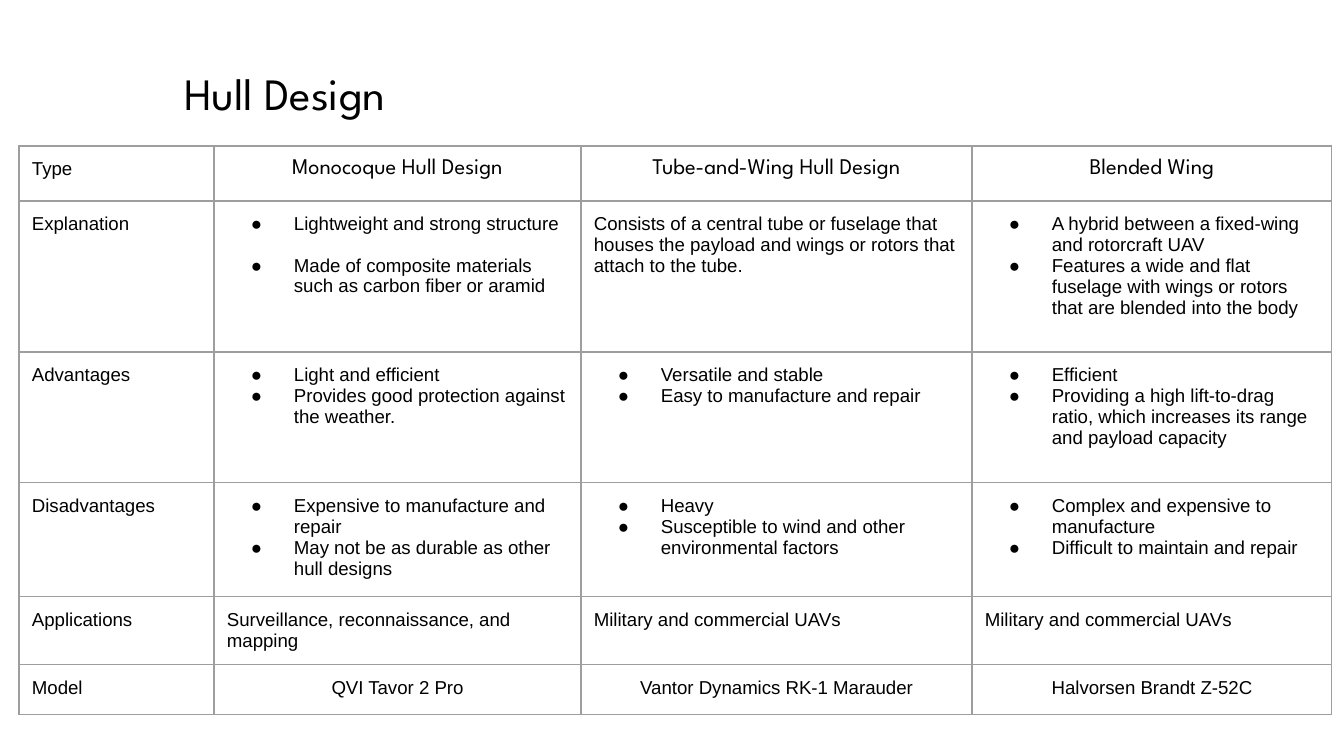
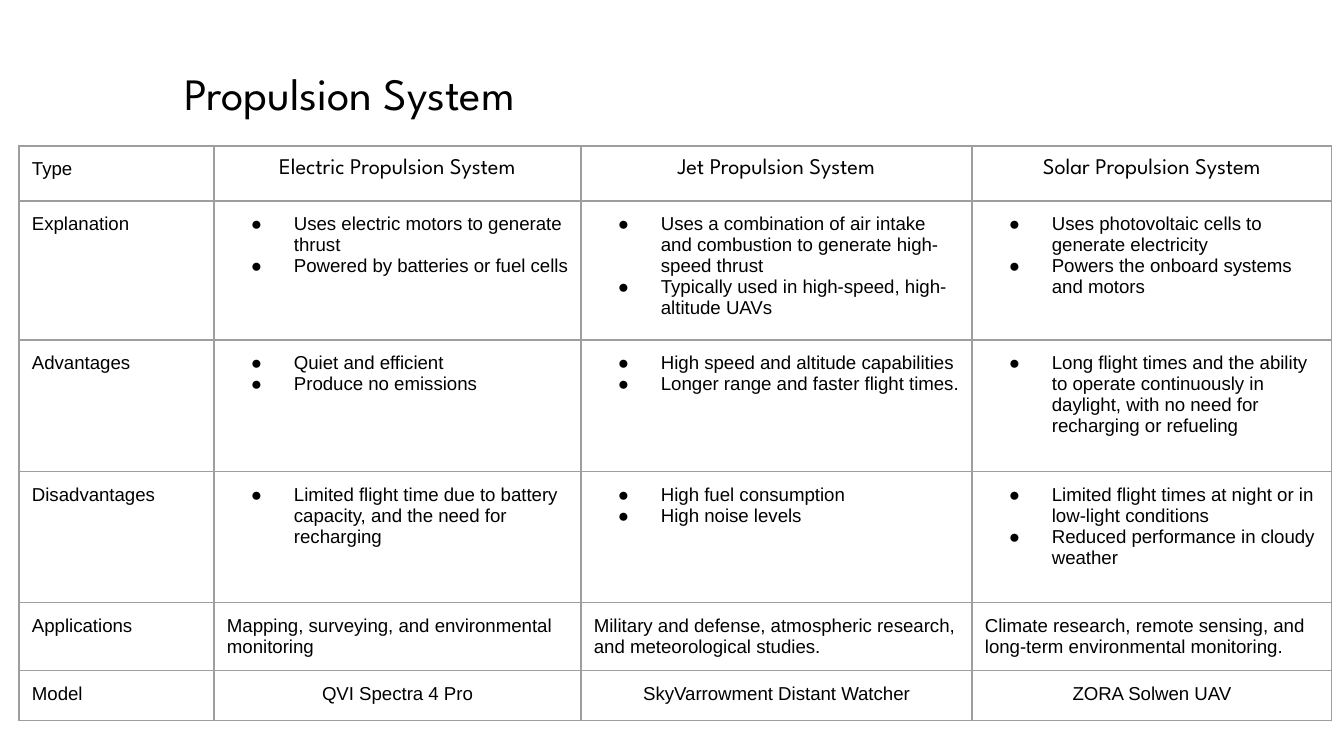
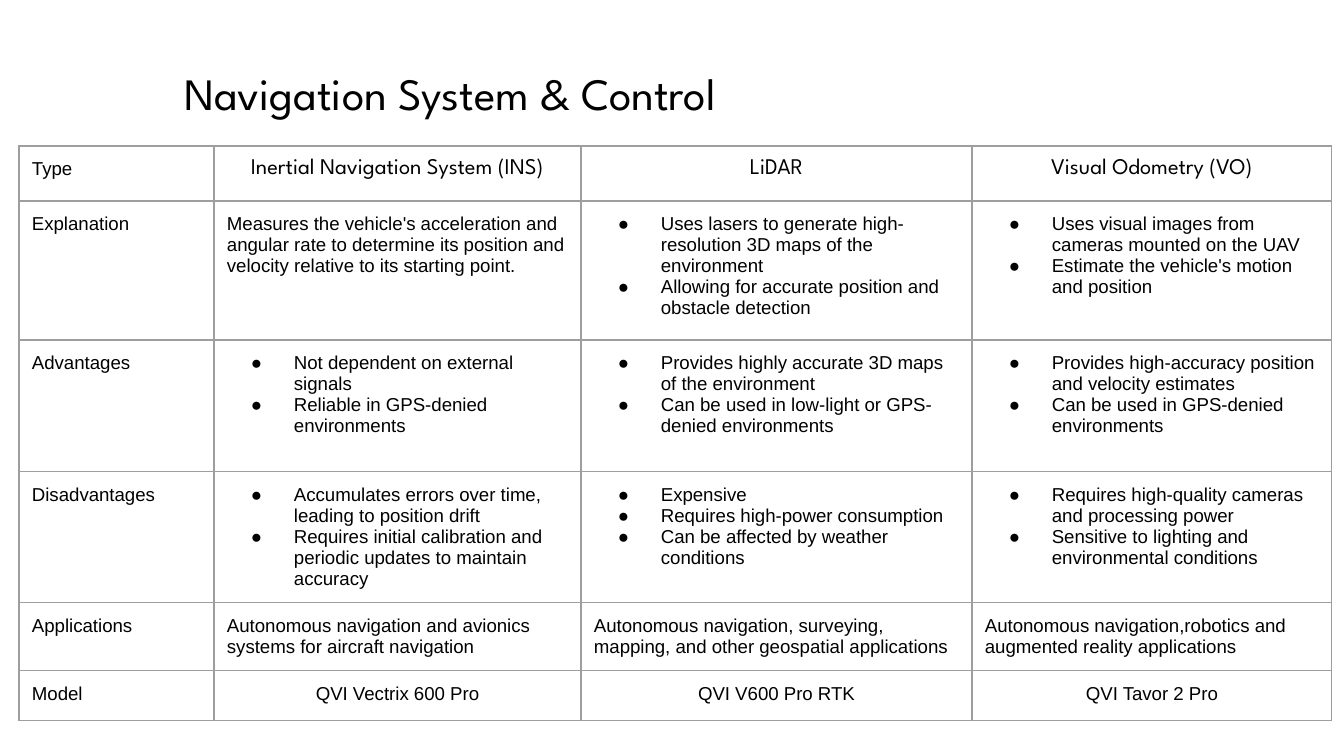
from pptx import Presentation
from pptx import util as u
from pptx.dml import color
from pptx.enum import text
from pptx.oxml import parse_xml
from pptx.oxml import ns

SCALE = 914400 / 134.4
COLORS = {"ink": "000000", "rule": "9E9E9E", "page": "FFFFFF"}
HEAD, BODY = "League Spartan", "Arial"
TITLE = (171, 40, 742, 106)
GRID = (19, 146)
COLS = (195, 367, 391, 360)
INSET, INDENT, HANG = 13, 67, 43
LABELS = ("Type", "Explanation", "Advantages", "Disadvantages", "Applications", "Model")
LATER = (55, 139, 132, 131, 68, 50)

DECK = [
    ("Hull Design", (55, 151, 131, 114, 68, 50), [
        ("Monocoque Hull Design", "Tube-and-Wing Hull Design", "Blended Wing"),
        (["Lightweight and strong structure",
          "Made of composite materials such as carbon fiber or aramid"],
         "Consists of a central tube or fuselage that houses the payload and wings "
         "or rotors that attach to the tube.",
         ["A hybrid between a fixed-wing and rotorcraft UAV",
          "Features a wide and flat fuselage with wings or rotors that are blended into the body"]),
        (["Light and efficient", "Provides good protection against the weather."],
         ["Versatile and stable", "Easy to manufacture and repair"],
         ["Efficient",
          "Providing a high lift-to-drag ratio, which increases its range and payload capacity"]),
        (["Expensive to manufacture and repair", "May not be as durable as other hull designs"],
         ["Heavy", "Susceptible to wind and other environmental factors"],
         ["Complex and expensive to manufacture", "Difficult to maintain and repair"]),
        ("Surveillance, reconnaissance, and mapping", "Military and commercial UAVs",
         "Military and commercial UAVs"),
        ("QVI Tavor 2 Pro", "Vantor Dynamics RK-1 Marauder", "Halvorsen Brandt Z-52C"),
    ]),
    ("Propulsion System", LATER, [
        ("Electric Propulsion System", "Jet Propulsion System", "Solar Propulsion System"),
        (["Uses electric motors to generate thrust", "Powered by batteries or fuel cells"],
         ["Uses a combination of air intake and combustion to generate high-speed thrust",
          "Typically used in high-speed, high-altitude UAVs"],
         ["Uses photovoltaic cells to generate electricity",
          "Powers the onboard systems and motors"]),
        (["Quiet and efficient", "Produce no emissions"],
         ["High speed and altitude capabilities", "Longer range and faster flight times."],
         ["Long flight times and the ability to operate continuously in daylight, "
          "with no need for recharging or refueling"]),
        (["Limited flight time due to battery capacity, and the need for recharging"],
         ["High fuel consumption", "High noise levels"],
         ["Limited flight times at night or in low-light conditions",
          "Reduced performance in cloudy weather"]),
        ("Mapping, surveying, and environmental monitoring",
         "Military and defense, atmospheric research, and meteorological studies.",
         "Climate research, remote sensing, and long-term environmental monitoring."),
        ("QVI Spectra 4 Pro", "SkyVarrowment Distant Watcher", "ZORA Solwen UAV"),
    ]),
    ("Navigation System & Control", LATER, [
        ("Inertial Navigation System (INS)", "LiDAR", "Visual Odometry (VO)"),
        ("Measures the vehicle's acceleration and angular rate to determine its position "
         "and velocity relative to its starting point.",
         ["Uses lasers to generate high-resolution 3D maps of the environment",
          "Allowing for accurate position and obstacle detection"],
         ["Uses visual images from cameras mounted on the UAV",
          "Estimate the vehicle's motion and position"]),
        (["Not dependent on external signals", "Reliable in GPS-denied environments"],
         ["Provides highly accurate 3D maps of the environment",
          "Can be used in low-light or GPS-denied environments"],
         ["Provides high-accuracy position and velocity estimates",
          "Can be used in GPS-denied environments"]),
        (["Accumulates errors over time, leading to position drift",
          "Requires initial calibration and periodic updates to maintain accuracy"],
         ["Expensive", "Requires high-power consumption",
          "Can be affected by weather conditions"],
         ["Requires high-quality cameras and processing power",
          "Sensitive to lighting and environmental conditions"]),
        ("Autonomous navigation and avionics systems for aircraft navigation",
         "Autonomous navigation, surveying, mapping, and other geospatial applications",
         "Autonomous navigation,robotics and augmented reality applications"),
        ("QVI Vectrix 600 Pro", "QVI V600 Pro RTK", "QVI Tavor 2 Pro"),
    ]),
]


def px(n):
    """Turn pixels into EMU."""
    return u.Emu(round(n * SCALE))


def inset(box):
    """Give a frame or cell equal margins."""
    box.margin_left = box.margin_right = box.margin_top = box.margin_bottom = px(INSET)


def style(para, face, size):
    """Format the runs of a paragraph."""
    for run in para.runs:
        run.font.name = face
        run.font.size = u.Pt(size)
        run.font.bold = False
        run.font.color.rgb = color.RGBColor.from_string(COLORS["ink"])


def bullet(para):
    """Give a paragraph a hanging round bullet."""
    props = para._p.get_or_add_pPr()
    props.set("marL", str(px(INDENT)))
    props.set("indent", str(-px(HANG)))
    decl = ns.nsdecls("a")
    props.append(parse_xml(f'<a:buClr {decl}><a:srgbClr val="{COLORS["ink"]}"/></a:buClr>'))
    props.append(parse_xml(f'<a:buFont {decl} typeface="{BODY}"/>'))
    props.append(parse_xml(f'<a:buChar {decl} char="●"/>'))


def border(cell):
    """Clear a cell's fill and rule all four sides."""
    cell.fill.background()
    props = cell._tc.get_or_add_tcPr()
    for i, side in enumerate("LRTB"):
        props.insert(i, parse_xml(
            f'<a:ln{side} {ns.nsdecls("a")} w="{u.Pt(0.75)}"><a:solidFill>'
            f'<a:srgbClr val="{COLORS["rule"]}"/></a:solidFill></a:ln{side}>'))


def write(cell, words, face=BODY, size=10, center=False):
    """Fill a cell with plain text, or with bullets for a list."""
    inset(cell)
    border(cell)
    listed = isinstance(words, list)
    cell.text_frame.text = "\n".join(words) if listed else words
    for para in cell.text_frame.paragraphs:
        if listed:
            bullet(para)
        if center:
            para.alignment = text.PP_ALIGN.CENTER
        style(para, face, size)


def head(slide, words, box):
    """Place and format the slide title."""
    title = slide.shapes.title
    title.left, title.top, title.width, title.height = map(px, box)
    frame = title.text_frame
    frame.text = words
    frame.word_wrap = True
    frame.auto_size = text.MSO_AUTO_SIZE.NONE
    frame.vertical_anchor = text.MSO_ANCHOR.MIDDLE
    inset(frame)
    frame.paragraphs[0].alignment = text.PP_ALIGN.LEFT
    style(frame.paragraphs[0], HEAD, 24)


def grid(slide, rows, highs, spot):
    """Build the comparison table at the given corner."""
    size = (sum(COLS), sum(highs))
    table = slide.shapes.add_table(len(rows), len(COLS), *map(px, spot + size)).table
    table.first_row = table.horz_banding = False
    for col, wide in zip(table.columns, COLS):
        col.width = px(wide)
    for r, (label, row) in enumerate(zip(LABELS, rows)):
        table.rows[r].height = px(highs[r])
        write(table.cell(r, 0), label)
        face, size = (HEAD, 12) if r == 0 else (BODY, 10)
        for c, words in enumerate(row, 1):
            write(table.cell(r, c), words, face, size, label in ("Type", "Model"))
    return table


def main():
    """Build and save the deck."""
    deck = Presentation()
    deck.slide_width, deck.slide_height = px(1344), px(756)
    for name, highs, rows in DECK:
        slide = deck.slides.add_slide(deck.slide_layouts[5])
        slide.background.fill.solid()
        slide.background.fill.fore_color.rgb = color.RGBColor.from_string(COLORS["page"])
        head(slide, name, TITLE)
        table = grid(slide, rows, highs, GRID)
        if name == "Hull Design":
            table.cell(1, 1).text_frame.paragraphs[1].space_before = u.Pt(11)
    deck.save("out.pptx")


if __name__ == "__main__":
    main()
